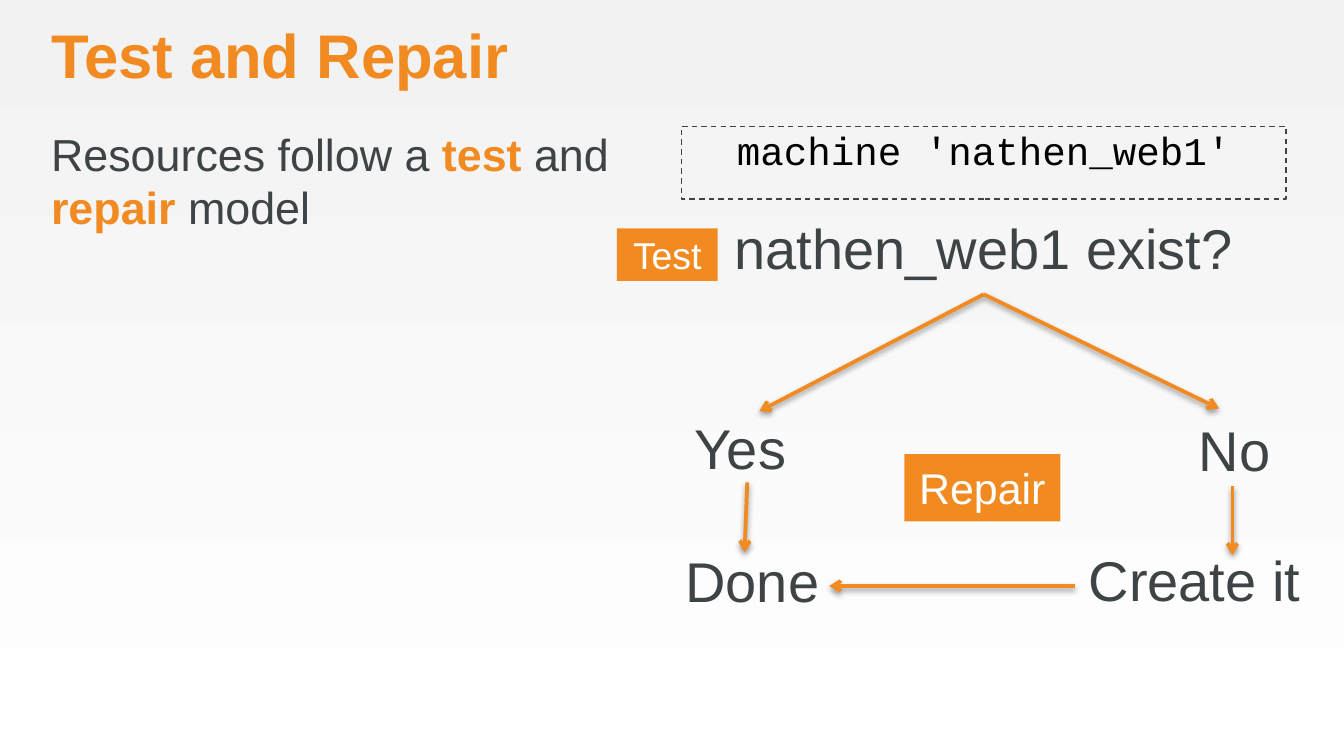
"""Build the Test and Repair slide with its decision flow."""
from dataclasses import dataclass
from typing import NamedTuple

from lxml import etree
from pptx import Presentation
from pptx.dml.color import RGBColor
from pptx.enum.dml import MSO_LINE
from pptx.enum.shapes import MSO_CONNECTOR, MSO_SHAPE
from pptx.enum.text import MSO_ANCHOR, MSO_AUTO_SIZE, PP_ALIGN
from pptx.oxml.ns import qn
from pptx.shapes.base import BaseShape
from pptx.slide import Slide
from pptx.text.text import TextFrame
from pptx.util import Inches, Pt

DASH = MSO_LINE.DASH
STRAIGHT = MSO_CONNECTOR.STRAIGHT
RECTANGLE = MSO_SHAPE.RECTANGLE
TOP, MIDDLE = MSO_ANCHOR.TOP, MSO_ANCHOR.MIDDLE
NO_FIT = MSO_AUTO_SIZE.NONE
LEFT, CENTER = PP_ALIGN.LEFT, PP_ALIGN.CENTER


@dataclass(frozen=True)
class Theme:
    """Colours, fonts and type sizes of the slide."""
    accent: RGBColor = RGBColor(0xF1, 0x8B, 0x21)
    ink: RGBColor = RGBColor(0x3E, 0x43, 0x46)
    black: RGBColor = RGBColor(0, 0, 0)
    white: RGBColor = RGBColor(0xFF, 0xFF, 0xFF)
    backdrop: RGBColor = RGBColor(0xF2, 0xF2, 0xF2)
    sans: str = "Arial"
    mono: str = "Courier New"
    title: float = 33
    body: float = 24
    code: float = 21
    step: float = 30
    test_tag: float = 20
    repair_tag: float = 23


class Area(NamedTuple):
    """Position and size in inches."""
    left: float
    top: float
    width: float
    height: float


class Phrase(NamedTuple):
    """A piece of text, emphasised or plain."""
    text: str
    strong: bool = False


class Style(NamedTuple):
    """Look of the text in a box."""
    size: float
    color: RGBColor
    font: str
    align: PP_ALIGN = LEFT
    anchor: MSO_ANCHOR = TOP
    spacing: float = 1


class Label(NamedTuple):
    """A plain step of the flow."""
    text: str
    area: Area


class Tag(NamedTuple):
    """A filled tag with its type size."""
    text: str
    area: Area
    size: float


class Arrow(NamedTuple):
    """Start and end of an arrow in inches."""
    start: tuple[float, float]
    end: tuple[float, float]


THEME = Theme()
STEP = Style(THEME.step, THEME.ink, THEME.sans)
QUESTION = Label("nathen_web1 exist?", Area(5.07, 1.59, 4.5, 0.59))
STEPS = [
    Label("Done", Area(5.1, 4.07, 1.01, 0.5)),
    Label("Create it", Area(8.1, 4.06, 1.59, 0.5)),
    Label("Yes", Area(5.17, 3.08, 0.72, 0.5)),
    Label("No", Area(8.92, 3.09, 0.54, 0.5)),
]
TAGS = [
    Tag("Test", Area(4.59, 1.7, 0.75, 0.39), THEME.test_tag),
    Tag("Repair", Area(6.73, 3.38, 1.16, 0.5), THEME.repair_tag),
]
FORK = (7.32, 2.19)
ARROWS = [
    Arrow(FORK, (5.65, 3.06)),
    Arrow(FORK, (9.07, 3.04)),
    Arrow((9.17, 3.62), (9.17, 4.13)),
    Arrow((8, 4.36), (6.17, 4.36)),
    Arrow((5.56, 3.59), (5.54, 4.11)),
]
MODEL = [
    Phrase("Resources follow a "), Phrase("test ", True), Phrase("and "),
    Phrase("repair ", True), Phrase("model"),
]


def place(shape: BaseShape, area: Area) -> None:
    """Move and size a shape."""
    shape.left, shape.top, shape.width, shape.height = map(Inches, area)


def write(frame: TextFrame, phrases: list[Phrase], style: Style,
          side: float = 0, edge: float = 0, wrap: bool = True) -> None:
    """Fill a frame with one unbulleted paragraph."""
    frame.auto_size = NO_FIT
    frame.word_wrap = wrap
    frame.vertical_anchor = style.anchor
    frame.margin_left = frame.margin_right = Inches(side)
    frame.margin_top = frame.margin_bottom = Inches(edge)
    para = frame.paragraphs[0]
    properties = para._p.get_or_add_pPr()
    properties.set("marL", "0")
    properties.set("indent", "0")
    etree.SubElement(properties, qn("a:buNone"))
    para.alignment = style.align
    para.line_spacing = style.spacing
    para.space_before = Pt(0)
    for phrase in phrases:
        span = para.add_run()
        span.text = phrase.text
        span.font.name = style.font
        span.font.size = Pt(style.size)
        span.font.bold = phrase.strong
        span.font.color.rgb = THEME.accent if phrase.strong else style.color


def add_label(page: Slide, label: Label, style: Style, wrap: bool = False) -> None:
    """Add a plain text box."""
    box = page.shapes.add_textbox(*map(Inches, label.area))
    write(box.text_frame, [Phrase(label.text)], style, wrap=wrap)


def add_tag(page: Slide, tag: Tag) -> None:
    """Add a filled tag."""
    box = page.shapes.add_shape(RECTANGLE, *map(Inches, tag.area))
    box.shadow.inherit = False
    box.fill.solid()
    box.fill.fore_color.rgb = THEME.accent
    box.line.fill.background()
    style = Style(tag.size, THEME.white, THEME.sans, CENTER, MIDDLE)
    write(box.text_frame, [Phrase(tag.text)], style, 0.07, 0.04)


def add_arrow(page: Slide, arrow: Arrow) -> None:
    """Add an arrow with a soft shadow below it."""
    line = page.shapes.add_connector(
        STRAIGHT, *map(Inches, arrow.start + arrow.end))
    line.line.color.rgb = THEME.accent
    line.line.width = Pt(2)
    etree.SubElement(line.line._get_or_add_ln(), qn("a:tailEnd"), type="arrow")
    effects = etree.SubElement(line._element.spPr, qn("a:effectLst"))
    shadow = etree.SubElement(
        effects, qn("a:outerShdw"), blurRad=str(Pt(3.1)), dist=str(Pt(1.6)),
        dir="5400000", rotWithShape="0")
    color = etree.SubElement(shadow, qn("a:srgbClr"), val=str(THEME.black))
    etree.SubElement(color, qn("a:alpha"), val="38000")


def main() -> None:
    """Build and save the deck."""
    deck = Presentation()
    deck.slide_width = Inches(10)
    deck.slide_height = deck.slide_width * 9 // 16
    page = deck.slides.add_slide(deck.slide_layouts[3])
    backdrop = page.background.fill
    backdrop.gradient()
    backdrop.gradient_angle = 270
    for stop, color in zip(backdrop.gradient_stops, (THEME.backdrop, THEME.white)):
        stop.color.rgb = color

    title, body, code = page.placeholders
    place(title, Area(0.38, 0.19, 9.19, 0.51))
    write(title.text_frame, [Phrase("Test and Repair", True)],
          Style(THEME.title, THEME.accent, THEME.sans, spacing=0.9))
    place(body, Area(0.38, 0.94, 4.5, 4.31))
    write(body.text_frame, MODEL, Style(THEME.body, THEME.ink, THEME.sans))
    place(code, Area(5.07, 0.94, 4.5, 0.54))
    code.line.color.rgb = THEME.ink
    code.line.width = Pt(0.75)
    code.line.dash_style = DASH
    write(code.text_frame, [Phrase("machine 'nathen_web1'")],
          Style(THEME.code, THEME.black, THEME.mono, CENTER), side=0.07)

    add_label(page, QUESTION, STEP._replace(align=CENTER), wrap=True)
    for arrow in ARROWS:
        add_arrow(page, arrow)
    for step in STEPS:
        add_label(page, step, STEP)
    for tag in TAGS:
        add_tag(page, tag)
    deck.save("out.pptx")


if __name__ == "__main__":
    main()
